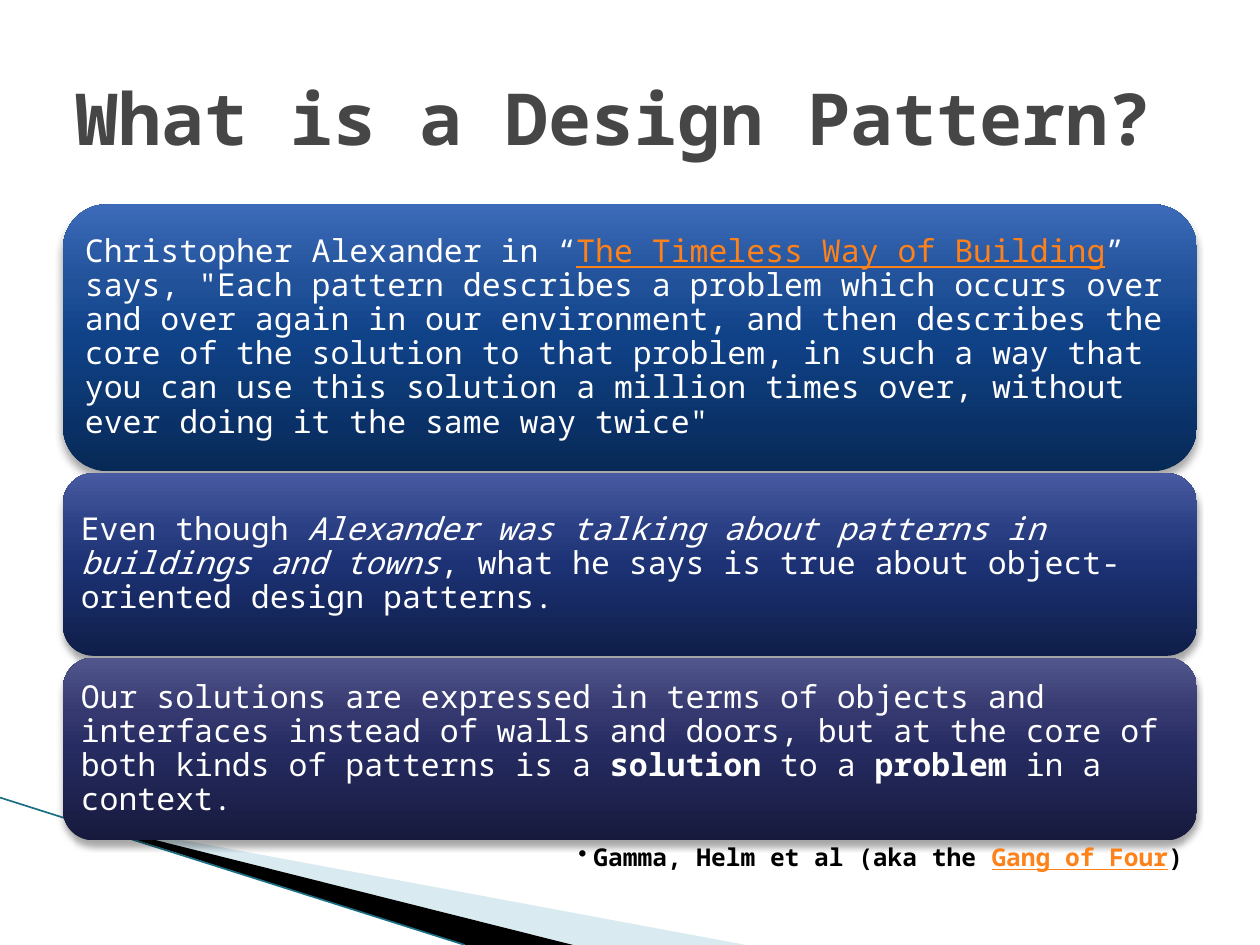
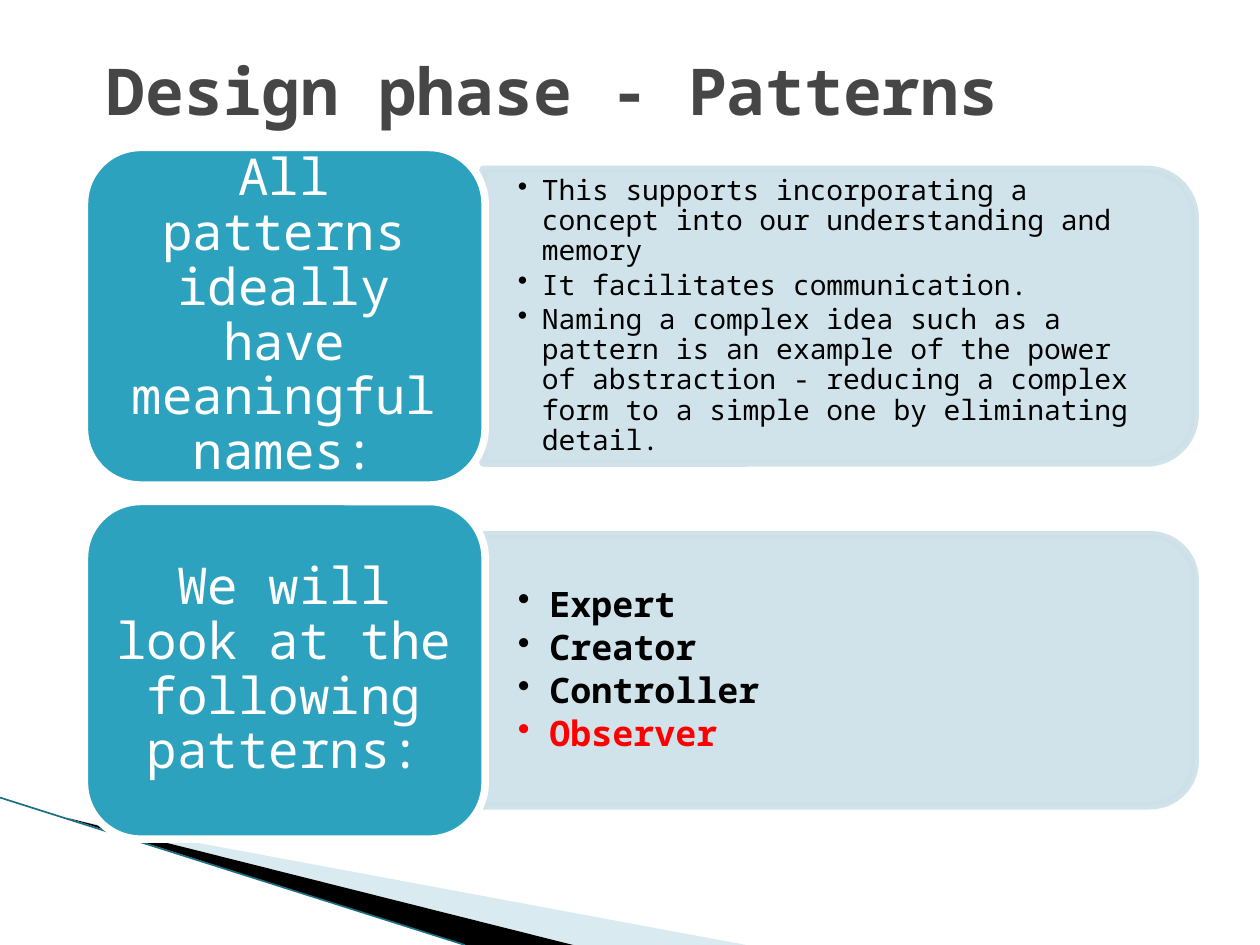
from pptx import Presentation
from pptx.dml.color import RGBColor
from pptx.enum.shapes import MSO_CONNECTOR, MSO_SHAPE
from pptx.enum.text import MSO_ANCHOR, PP_ALIGN
from pptx.oxml.ns import qn
from pptx.util import Inches, Pt
from lxml.etree import SubElement

FONT = "Noto Sans Mono"
HUES = {
    "title": "464646", "link": "FF8119", "white": "FFFFFF", "black": "000000",
    "red": "FF0000", "card": "2DA2BF", "panel": "CDE0E8",
    "wedge": "A0CBDC", "edge": "1B6F84",
}
BULLET = "•"

deck = Presentation()
deck.slide_width, deck.slide_height = Inches(10), Inches(7.5)
# The grid has 100 columns and 75 rows of square cells.
CELL = deck.slide_width // 100


def tint(shape, hue, alpha=100, edge=None):
    """Give a shape a flat fill, an optional border and no shadow."""
    shape.shadow.inherit = False
    shape.fill.solid()
    shape.fill.fore_color.rgb = RGBColor.from_string(HUES[hue])
    if edge:
        shape.line.color.rgb = RGBColor.from_string(HUES[edge])
        shape.line.width = Pt(4.33)
    else:
        shape.line.fill.background()
    if alpha < 100:
        for tone in shape._element.spPr.iter(qn("a:srgbClr")):
            SubElement(tone, qn("a:alpha"), val=str(alpha * 1000))


def write(slide, area, paras, size=18, hue="white", bold=False, align=PP_ALIGN.LEFT,
          anchor=MSO_ANCHOR.MIDDLE, pad=(0.7, 0.7, 0.7, 0.7), lines=0.9,
          after=0.35, hang=0):
    """Add text; a paragraph lists (words, marks) runs: b, i, u for link, r for red."""
    box = slide.shapes.add_textbox(*[int(n * CELL) for n in area])
    frame = box.text_frame
    frame.word_wrap = True
    frame.vertical_anchor = anchor
    (frame.margin_left, frame.margin_top,
     frame.margin_right, frame.margin_bottom) = [int(n * CELL) for n in pad]
    for i, runs in enumerate(paras):
        para = frame.paragraphs[0] if i == 0 else frame.add_paragraph()
        para.alignment = align
        para.line_spacing = lines
        para.space_after = Pt(size * after)
        if hang:
            props = para._p.get_or_add_pPr()
            props.set("marL", str(int(hang * CELL)))
            props.set("indent", str(int(-hang * CELL)))
            SubElement(props, qn("a:buChar"), char=BULLET)
        for words, marks in runs:
            run = para.add_run()
            run.text = words
            font = run.font
            font.name, font.size = FONT, Pt(size)
            font.bold = bold or "b" in marks
            font.italic = "i" in marks
            font.underline = "u" in marks
            tone = "link" if "u" in marks else "red" if "r" in marks else hue
            font.color.rgb = RGBColor.from_string(HUES[tone])


# Titles and the corner band
TITLES = [
    ("What is a Design Pattern?", 41, (5, 3, 90, 12.5)),
    ("Design phase - Patterns", 36.9, (7.5, 4.2, 85, 5.8)),
]
WEDGES = [
    ("wedge", 40, [(5.5, 65), (59.2, 75), (45.6, 75)]),
    ("black", 100, [(5.3, 64.9), (45.5, 75), (36.9, 75)]),
]
slides = []
for name, size, area in TITLES:
    slide = deck.slides.add_slide(deck.slide_layouts[6])
    slides.append(slide)
    for hue, alpha, spots in WEDGES:
        spots = [(int(x * CELL), int(y * CELL)) for x, y in spots]
        path = slide.shapes.build_freeform(*spots[0])
        path.add_line_segments(spots[1:])
        tint(path.convert_to_shape(), hue, alpha)
    rule = slide.shapes.add_connector(
        MSO_CONNECTOR.STRAIGHT, 0, int(63.3 * CELL), int(36.9 * CELL), 75 * CELL)
    rule.line.color.rgb = RGBColor.from_string(HUES["edge"])
    rule.line.width = Pt(0.95)
    SubElement(rule._element.spPr, qn("a:effectLst"))
    write(slide, area, [[(name, "")]], size=size, hue="title", bold=True,
          pad=(1, 0.5, 1, 0.5), lines=1, after=0)

# Slide 1: stacked quotes
first, second = slides
QUOTES = [
    (21.2, ["072956", "104288", "205199", "3D6BB9"], [
        ("Christopher Alexander in “", ""),
        ("The Timeless Way of Building", "u"),
        ("” says, \"Each pattern describes a problem which occurs over and over "
         "again in our environment, and then describes the core of the solution "
         "to that problem, in such a way that you can use this solution a million "
         "times over, without ever doing it the same way twice\"", "")]),
    (14.5, ["0F1E49", "1C3274", "2B4084", "485BA2"], [
        ("Even though ", ""),
        ("Alexander was talking about patterns in buildings and towns", "i"),
        (", what he says is true about object-oriented design patterns.", "")]),
    (14.5, ["171A3D", "262B61", "353970", "51568D"], [
        ("Our solutions are expressed in terms of objects and interfaces instead "
         "of walls and doors, but at the core of both kinds of patterns is a ", ""),
        ("solution", "b"), (" to a ", ""), ("problem", "b"),
        (" in a context.", "")]),
]
LEFT, WIDE, GAP = 5, 90, 0.15
top = 16.2
for high, tones, runs in QUOTES:
    bar = first.shapes.add_shape(
        MSO_SHAPE.ROUNDED_RECTANGLE,
        *[int(n * CELL) for n in (LEFT, top, WIDE, high)])
    bar.line.fill.background()
    bar.fill.gradient()
    bar.fill.gradient_angle = 90
    props = bar._element.spPr
    stops = next(props.iter(qn("a:gsLst")))
    for stop in list(stops):
        stops.remove(stop)
    for spot, tone in zip((0, 50, 70, 100), tones):
        stop = SubElement(stops, qn("a:gs"), pos=str(spot * 1000))
        SubElement(stop, qn("a:srgbClr"), val=tone)
    bar.shadow.inherit = False
    glow = SubElement(props.find(qn("a:effectLst")), qn("a:outerShdw"),
                      blurRad=str(Pt(4)), dist=str(Pt(3)), dir="5400000",
                      rotWithShape="0")
    tone = SubElement(glow, qn("a:srgbClr"), val=HUES["black"])
    SubElement(tone, qn("a:alpha"), val="35000")
    inset = high * 0.049
    write(first, (LEFT + inset, top + inset, WIDE - 2 * inset, high - 2 * inset),
          [runs])
    top += high + GAP

write(first, (LEFT, top, WIDE, 2.2),
      [[("Gamma, Helm et al (aka the ", ""), ("Gang of Four", "u"), (")", "")]],
      size=14, hue="black", bold=True, align=PP_ALIGN.RIGHT,
      anchor=MSO_ANCHOR.TOP, pad=(2.9, 0.2, 1.1, 0.2), after=0.2, hang=1.2)

# Slide 2: cards with their panels
CARDS = [
    ("All patterns ideally have meaningful names:", 23.3, 16, False, 1.9, [
        ("This supports incorporating a concept into our understanding and memory", ""),
        ("It facilitates communication.", ""),
        ("Naming a complex idea such as a pattern is an example of the power of "
         "abstraction - reducing a complex form to a simple one by eliminating "
         "detail.", "")]),
    ("We will look at the following patterns:", 21.5, 20, True, 2.5, [
        ("Expert", ""), ("Creator", ""), ("Controller", ""), ("Observer", "r")]),
]
TOP, STEP, HIGH = 11.7, 28.1, 26.8
SPAN, MID = 56.5, 66.6
for row, (head, deep, size, bold, hang, items) in enumerate(CARDS):
    top = TOP + row * STEP
    core = top + HIGH / 2
    panel = second.shapes.add_shape(
        MSO_SHAPE.ROUND_2_SAME_RECTANGLE,
        *[int(n * CELL) for n in (MID - deep / 2, core - SPAN / 2, deep, SPAN)])
    panel.rotation = 90
    tint(panel, "panel", 90, edge="panel")
    write(second, (38.4, core - deep * 0.45, 55.3, deep * 0.9),
          [[item] for item in items], size=size, hue="black", bold=bold,
          pad=(2.7, 1.4, 2.7, 1.4), after=0.15, hang=hang)
    card = second.shapes.add_shape(
        MSO_SHAPE.ROUNDED_RECTANGLE,
        *[int(n * CELL) for n in (6.7, top, 31.8, HIGH)])
    tint(card, "card", edge="white")
    write(second, (8, top + 1.3, 29.1, HIGH - 2.6), [[(head, "")]], size=29,
          align=PP_ALIGN.CENTER, pad=(1.2, 0.6, 1.2, 0.6))

deck.save("out.pptx")
